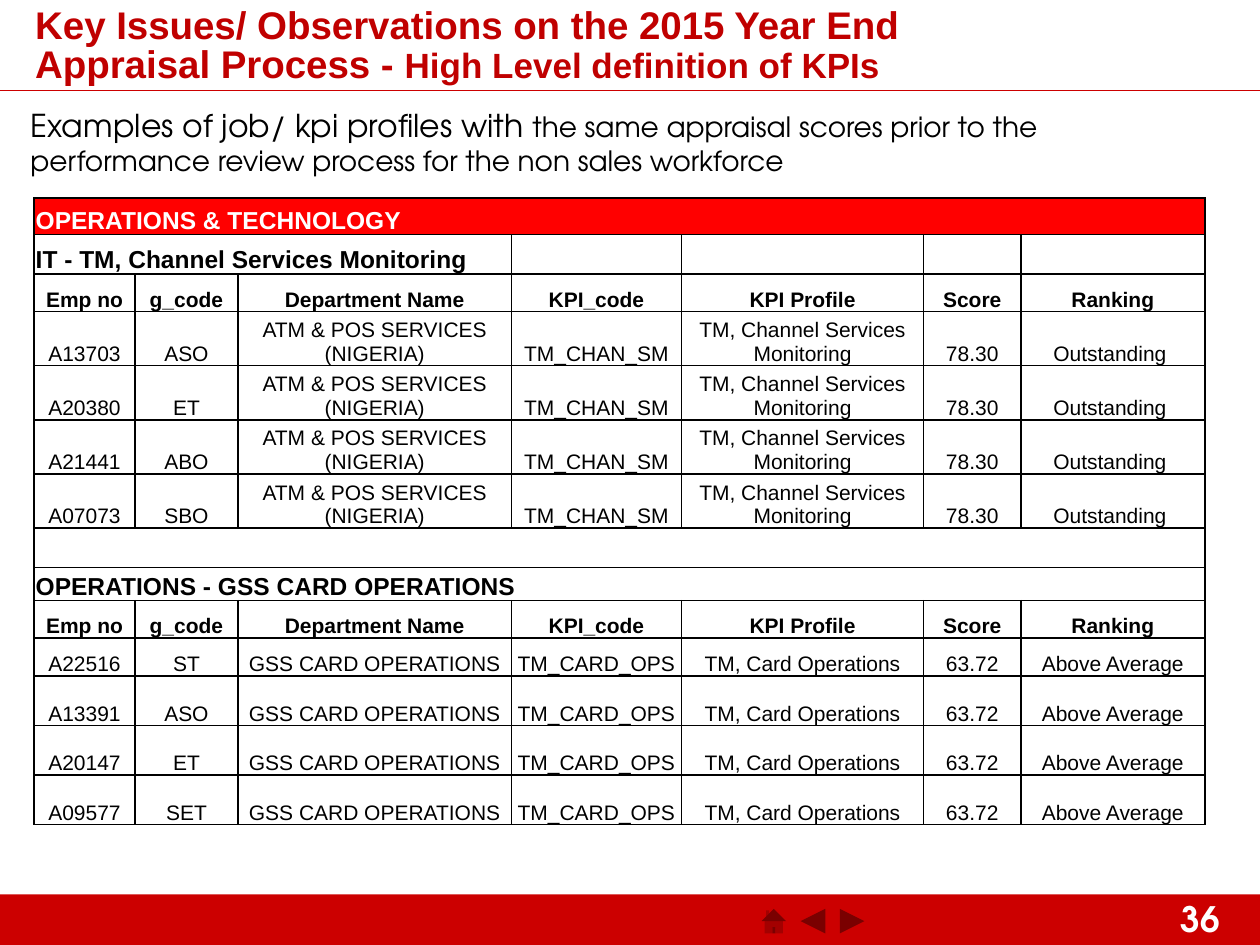
from lxml.etree import SubElement
from pptx import Presentation
from pptx.dml.color import RGBColor
from pptx.enum.shapes import MSO_CONNECTOR, MSO_SHAPE
from pptx.enum.text import MSO_ANCHOR, MSO_AUTO_SIZE, PP_ALIGN
from pptx.oxml.ns import qn
from pptx.util import Cm, Pt

COLORS = {"bar": "CC0000", "band": "FF0000", "heading": "C00000",
          "black": "000000", "white": "FFFFFF"}
SANS, GEOMETRIC = "Arial", "TeX Gyre Adventor"

COLUMN_WIDTHS = [2.03, 2.08, 5.51, 3.43, 4.88, 1.96, 3.71]
COLUMN_HEADS = ["Emp no", "g_code", "Department Name", "KPI_code",
                "KPI Profile", "Score", "Ranking"]
MONITORING_STAFF = [("A13703", "ASO"), ("A20380", "ET"),
                    ("A21441", "ABO"), ("A07073", "SBO")]
MONITORING_PROFILE = ["ATM & POS SERVICES (NIGERIA)", "TM_CHAN_SM",
                      "TM, Channel Services Monitoring", "78.30", "Outstanding "]
CARD_STAFF = [("A22516", "ST"), ("A13391", "ASO"),
              ("A20147", "ET"), ("A09577", "SET")]
CARD_PROFILE = ["GSS CARD OPERATIONS", "TM_CARD_OPS",
                "TM, Card Operations", "63.72", "Above Average"]


def color(key):
    return RGBColor.from_string(COLORS[key])


def write(paragraph, text, size=12, font=SANS, ink="black", bold=False, align=None):
    """Append one formatted run to the paragraph."""
    run = paragraph.add_run()
    run.text = text
    run.font.size, run.font.name, run.font.bold = Pt(size), font, bold
    run.font.color.rgb = color(ink)
    if align is not None:
        paragraph.alignment = align


def draw_borders(cell):
    properties = cell._tc.get_or_add_tcPr()
    for position, side in enumerate(("a:lnL", "a:lnR", "a:lnT", "a:lnB")):
        border = properties.makeelement(qn(side), {"w": str(Pt(1))})
        fill = SubElement(border, qn("a:solidFill"))
        SubElement(fill, qn("a:srgbClr"), val=COLORS["black"])
        properties.insert(position, border)


class SlideBuilder:
    def __init__(self, presentation):
        self.slide = presentation.slides.add_slide(presentation.slide_layouts[5])
        self.shapes = self.slide.shapes

    def block(self, kind, left, top, width, height, flipped=False):
        shape = self.shapes.add_shape(kind, Cm(left), Cm(top), Cm(width), Cm(height))
        shape.shadow.inherit = False
        shape.fill.solid()
        shape.fill.fore_color.rgb = color("bar")
        shape.line.fill.background()
        if flipped:
            shape.element.spPr.get_or_add_xfrm().set("flipH", "1")

    def rule(self, top, width):
        line = self.shapes.add_connector(MSO_CONNECTOR.STRAIGHT,
                                         0, Cm(top), Cm(width), Cm(top))
        line.line.color.rgb = color("bar")
        line.line.width = Pt(0.75)
        SubElement(line.element.spPr, qn("a:effectLst"))

    def text(self, left, top, width, height, anchor=MSO_ANCHOR.TOP):
        """Add a wrapping text box and return its first paragraph."""
        box = self.shapes.add_textbox(Cm(left), Cm(top), Cm(width), Cm(height))
        box.text_frame.word_wrap = True
        box.text_frame.vertical_anchor = anchor
        return box.text_frame.paragraphs[0]

    def title(self, left, top, width, height):
        """Place the title placeholder and return its first paragraph."""
        title = self.shapes.title
        title.left, title.top, title.width, title.height = map(
            Cm, (left, top, width, height))
        frame = title.text_frame
        frame.auto_size = MSO_AUTO_SIZE.NONE
        frame.word_wrap = True
        frame.vertical_anchor = MSO_ANCHOR.TOP
        frame.paragraphs[0].alignment = PP_ALIGN.LEFT
        return frame.paragraphs[0]

    def table(self, left, top, widths, heights):
        """Add an unfilled table with thin black borders."""
        frame = self.shapes.add_table(len(heights), len(widths), Cm(left), Cm(top),
                                      Cm(sum(widths)), Cm(sum(heights)))
        table = frame.table
        table.first_row = table.horz_banding = False
        for column, width in zip(table.columns, widths):
            column.width = Cm(width)
        for row, height in zip(table.rows, heights):
            row.height = Cm(height)
            for cell in row.cells:
                cell.fill.background()
                cell.vertical_anchor = MSO_ANCHOR.BOTTOM
                cell.margin_left = cell.margin_right = cell.margin_top = Cm(0.03)
                cell.margin_bottom = 0
                draw_borders(cell)
        return table

    def band(self, table, row, span, text="", ink="black", fill=None):
        """Merge the first cells of a row into a section heading."""
        cell = table.cell(row, 0)
        cell.merge(table.cell(row, span - 1))
        if text:
            write(cell.text_frame.paragraphs[0], text, size=14, ink=ink, bold=True)
        if fill:
            cell.fill.solid()
            cell.fill.fore_color.rgb = color(fill)

    def section(self, table, head_row, staff, profile):
        """Fill the column heads and one row for each employee."""
        records = [COLUMN_HEADS] + [[*person, *profile] for person in staff]
        for offset, record in enumerate(records):
            is_head = offset == 0
            for column, value in enumerate(record):
                cell = table.cell(head_row + offset, column)
                write(cell.text_frame.paragraphs[0], value,
                      bold=is_head, align=PP_ALIGN.CENTER)
                if is_head:
                    cell.fill.solid()
                    cell.fill.fore_color.rgb = color("white")


def main():
    presentation = Presentation()
    presentation.slide_width, presentation.slide_height = Cm(25.4), Cm(19.05)
    builder = SlideBuilder(presentation)

    builder.block(MSO_SHAPE.RECTANGLE, 0, 18.03, 25.4, 1.02)
    page_number = builder.text(23.55, 17.96, 1.85, 1.09)
    write(page_number, "36", size=20, font=GEOMETRIC, ink="white", bold=True)
    buttons = [MSO_SHAPE.ACTION_BUTTON_HOME,
               MSO_SHAPE.ACTION_BUTTON_FORWARD_OR_NEXT,
               MSO_SHAPE.ACTION_BUTTON_BACK_OR_PREVIOUS]
    for index, button in enumerate(buttons):
        builder.block(button, 15.27 + 0.79 * index, 18.15, 0.66, 0.84, flipped=True)
    builder.rule(1.83, 25.4)

    examples = builder.title(0.36, 2.01, 23.77, 1.4)
    write(examples, "Examples of job/ kpi profiles with ", size=18, font=GEOMETRIC)
    write(examples, "the same appraisal scores prior to the performance review "
          "process for the non sales workforce", size=16, font=GEOMETRIC)

    heights = [0.74, 0.76, 0.76] + [1.09] * 4 + [0.76, 0.67, 0.76, 0.76] + [1] * 3
    kpis = builder.table(0.69, 3.99, COLUMN_WIDTHS, heights)
    builder.band(kpis, 0, 7, "OPERATIONS & TECHNOLOGY", ink="white", fill="band")
    builder.band(kpis, 1, 3, "IT - TM, Channel Services Monitoring")
    builder.section(kpis, 2, MONITORING_STAFF, MONITORING_PROFILE)
    builder.band(kpis, 7, 7)
    builder.band(kpis, 8, 7, "OPERATIONS - GSS CARD OPERATIONS")
    builder.section(kpis, 9, CARD_STAFF, CARD_PROFILE)

    heading = builder.text(0.46, 0.2, 20.07, 1.52, anchor=MSO_ANCHOR.MIDDLE)
    heading.line_spacing = 0.85
    write(heading, "Key Issues/ Observations on the 2015 Year End Appraisal Process - ",
          size=22, ink="heading", bold=True)
    write(heading, "High Level definition of KPIs", size=20, ink="heading", bold=True)

    presentation.save("out.pptx")


if __name__ == "__main__":
    main()
